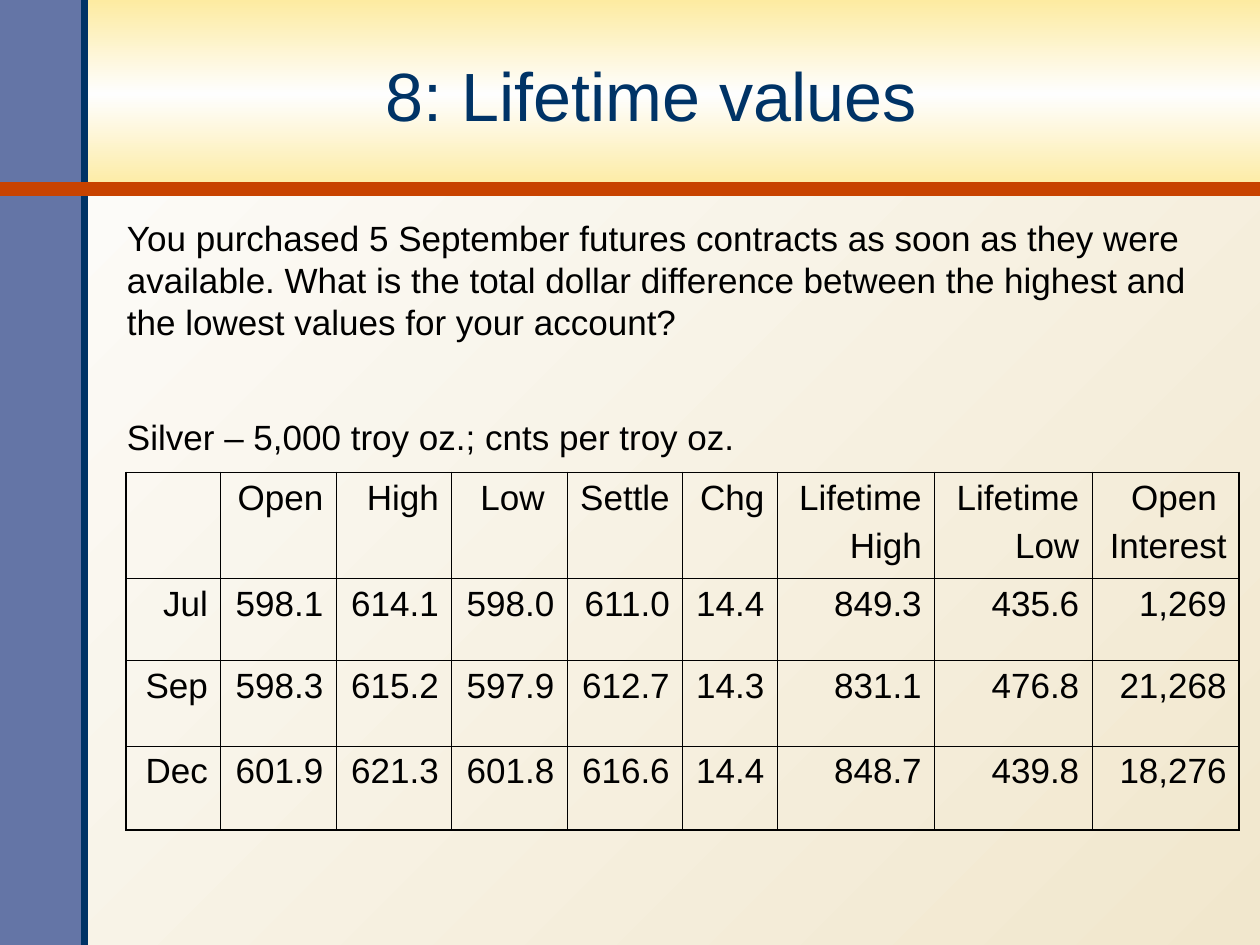
from lxml.etree import SubElement
from pptx import Presentation
from pptx.dml.color import RGBColor
from pptx.enum.shapes import MSO_CONNECTOR, MSO_SHAPE
from pptx.enum.text import MSO_ANCHOR, MSO_AUTO_SIZE, PP_ALIGN
from pptx.oxml.ns import qn
from pptx.util import Inches, Pt

WIDTH, HEIGHT = Inches(10), Inches(7.5)
BAND_HEIGHT = HEIGHT * 0.2
STRIPE_WIDTH = Inches(0.67)

COLORS = {
    "sand": "F1E7CD", "white": "FEFEFE", "yellow": "FDEBA1", "slate": "6475A6",
    "navy": "003366", "rust": "C84300", "ink": "000000",
}

QUESTION = [
    "You purchased 5 September futures contracts as soon as they were",
    "available. What is the total dollar difference between the highest and",
    "the lowest values for your account?",
]
QUOTES = [
    ["", "Open", "High", "Low ", "Settle", "Chg",
     "Lifetime\nHigh", "Lifetime\nLow", "Open \nInterest"],
    ["Jul", "598.1", "614.1", "598.0", "611.0", "14.4", "849.3", "435.6", "1,269"],
    ["Sep", "598.3", "615.2", "597.9", "612.7", "14.3", "831.1", "476.8", "21,268"],
    ["Dec", "601.9", "621.3", "601.8", "616.6", "14.4", "848.7", "439.8", "18,276"],
]
PRICE_WIDTH = 11 / 12
COLUMN_WIDTHS = [0.75, *[PRICE_WIDTH] * 4, 0.75, 1.25, 1.25, 1.17]
ROW_HEIGHTS = [0.84, 0.65, 0.68, 0.67]


def rgb(name):
    return RGBColor.from_string(COLORS[name])


def write(frame, lines, size=20, color="ink", align=PP_ALIGN.LEFT, gap=0):
    """Write one paragraph per line; gap is the space between paragraphs."""
    for index, line in enumerate(lines):
        paragraph = frame.paragraphs[0] if index == 0 else frame.add_paragraph()
        paragraph.text = line
        paragraph.alignment = align
        paragraph.space_before = Pt(gap if index else 0)
        paragraph.font.size = Pt(size)
        paragraph.font.name = "Arial"
        paragraph.font.color.rgb = rgb(color)


def fill_gradient(fill, element, names, angle):
    """Spread the named colours evenly along the gradient."""
    fill.gradient()
    fill.gradient_angle = angle
    stops = next(element.iter(qn("a:gsLst")))
    stops.clear()
    for index, name in enumerate(names):
        position = 100000 * index // (len(names) - 1)
        stop = SubElement(stops, qn("a:gs"), pos=str(position))
        SubElement(stop, qn("a:srgbClr"), val=COLORS[name])


def add_panel(slide, left, top, width, height):
    panel = slide.shapes.add_shape(
        MSO_SHAPE.RECTANGLE, int(left), int(top), int(width), int(height))
    panel.shadow.inherit = False
    panel.line.fill.background()
    return panel


def add_rule(slide, start, end, color, weight):
    rule = slide.shapes.add_connector(
        MSO_CONNECTOR.STRAIGHT, *(int(value) for value in (*start, *end)))
    rule.line.color.rgb = rgb(color)
    rule.line.width = Pt(weight)
    SubElement(rule.element.spPr, qn("a:effectLst"))


def add_backdrop(slide):
    fill_gradient(slide.background.fill, slide.element, ["sand", "white"], 135)
    band = add_panel(slide, 0, 0, WIDTH, BAND_HEIGHT)
    fill_gradient(band.fill, band.element, ["yellow", "white", "yellow"], 270)
    stripe = add_panel(slide, 0, 0, STRIPE_WIDTH, HEIGHT)
    stripe.fill.solid()
    stripe.fill.fore_color.rgb = rgb("slate")
    add_rule(slide, (STRIPE_WIDTH, HEIGHT), (STRIPE_WIDTH, 0), "navy", 4)
    add_rule(slide, (0, BAND_HEIGHT), (WIDTH, BAND_HEIGHT), "rust", 8)


def add_title(slide, left, top, width, height, text):
    title = slide.shapes.title
    title.left, title.top, title.width, title.height = left, top, width, height
    title.text_frame.vertical_anchor = MSO_ANCHOR.MIDDLE
    write(title.text_frame, [text], size=39, color="navy", align=PP_ALIGN.CENTER)
    # Bring the title in front of the band
    title.element.getparent().append(title.element)


def add_text(slide, left, top, width, height, lines):
    frame = slide.shapes.add_textbox(left, top, width, height).text_frame
    frame.word_wrap = True
    frame.auto_size = MSO_AUTO_SIZE.SHAPE_TO_FIT_TEXT
    write(frame, lines)


def set_borders(cell, outer_sides):
    """Draw thick lines on the outer sides and hairlines elsewhere."""
    properties = cell._tc.get_or_add_tcPr()
    for side in "LRTB":
        weight = Pt(1.08 if side in outer_sides else 0.45)
        line = SubElement(properties, qn(f"a:ln{side}"), w=str(weight))
        solid = SubElement(line, qn("a:solidFill"))
        SubElement(solid, qn("a:srgbClr"), val=COLORS["ink"])


def add_quotes(slide, left, top):
    rows, columns = len(ROW_HEIGHTS), len(COLUMN_WIDTHS)
    table = slide.shapes.add_table(
        rows, columns, left, top,
        Inches(sum(COLUMN_WIDTHS)), Inches(sum(ROW_HEIGHTS))).table
    table.first_row = table.horz_banding = False
    for column, width in zip(table.columns, COLUMN_WIDTHS):
        column.width = Inches(width)
    for row, height in zip(table.rows, ROW_HEIGHTS):
        row.height = Inches(height)
    for r, values in enumerate(QUOTES):
        for c, value in enumerate(values):
            cell = table.cell(r, c)
            edges = {"L": c == 0, "R": c == columns - 1,
                     "T": r == 0, "B": r == rows - 1}
            set_borders(cell, [side for side, outer in edges.items() if outer])
            cell.fill.background()
            cell.margin_left = cell.margin_right = Inches(0.1)
            cell.margin_top = cell.margin_bottom = Inches(0.05)
            write(cell.text_frame, value.split("\n"), align=PP_ALIGN.RIGHT, gap=5)


def main():
    deck = Presentation()
    deck.slide_width, deck.slide_height = WIDTH, HEIGHT
    slide = deck.slides.add_slide(deck.slide_layouts[5])

    # Background, band and rules
    add_backdrop(slide)
    # Heading
    add_title(slide, Inches(0.65), Inches(0.15), Inches(9.04), Inches(1.2),
              "8: Lifetime values")
    # Price table with its caption
    add_quotes(slide, Inches(1), Inches(3.75))
    add_text(slide, Inches(0.91), Inches(3.25), Inches(5.2), Inches(0.44),
             ["Silver – 5,000 troy oz.; cnts per troy oz."])
    # Question
    add_text(slide, Inches(0.91), Inches(1.67), Inches(8.7), Inches(1.1), QUESTION)

    deck.save("out.pptx")


if __name__ == "__main__":
    main()
